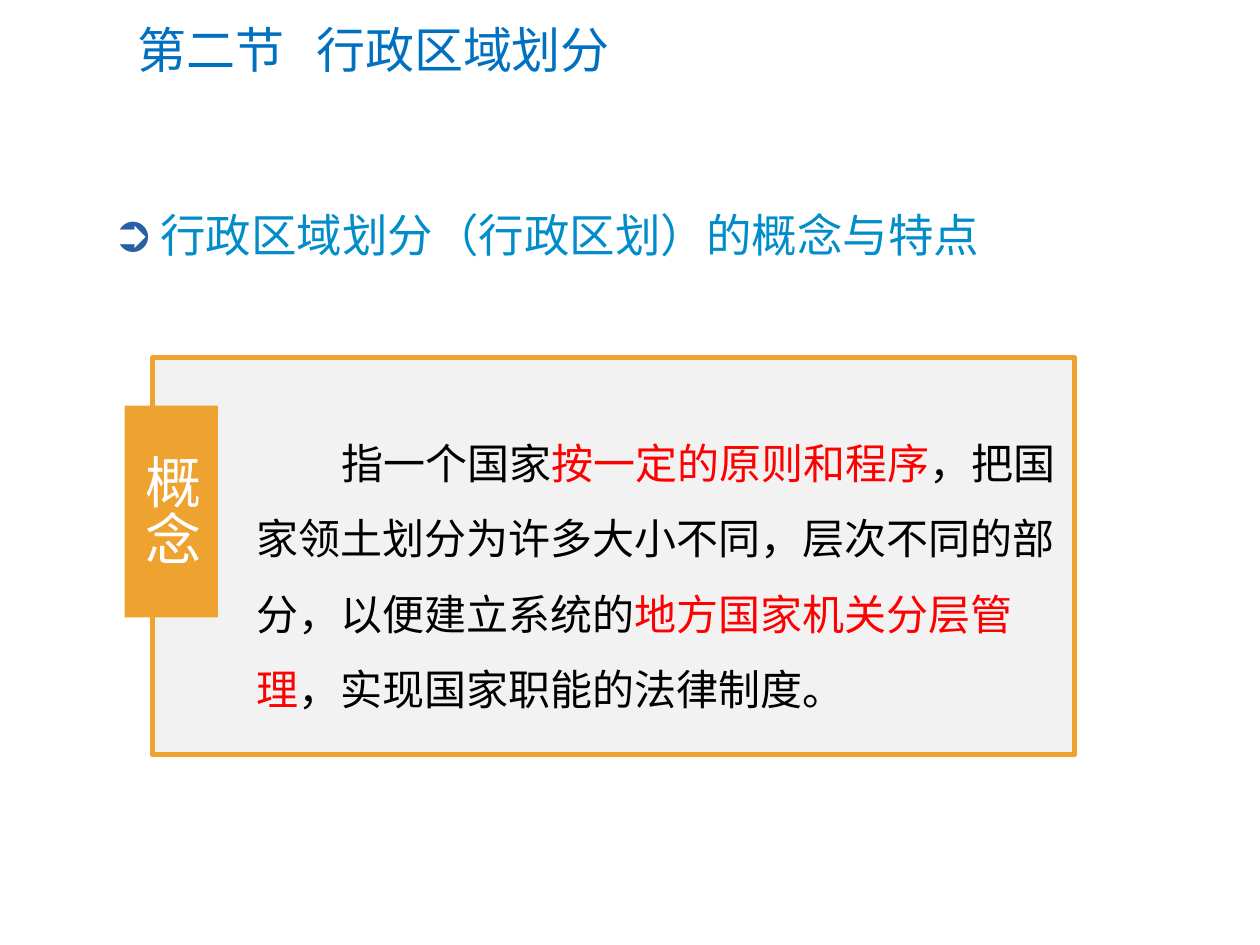
from lxml import etree
from pptx import Presentation
from pptx.dml.color import RGBColor
from pptx.enum.shapes import MSO_SHAPE
from pptx.enum.text import MSO_ANCHOR, MSO_AUTO_SIZE, PP_ALIGN
from pptx.oxml.ns import qn
from pptx.util import Inches, Pt

RECT = MSO_SHAPE.RECTANGLE
TOP, MIDDLE = MSO_ANCHOR.TOP, MSO_ANCHOR.MIDDLE
LEFT = PP_ALIGN.LEFT
FIXED = MSO_AUTO_SIZE.NONE

LATIN, HAN = "Calibri", "Noto Sans CJK SC"
BLACK, RED, WHITE = "000000", "FF0000", "FFFFFF"
AMBER, PALE = "EEA230", "F2F2F2"

TITLE = [("第二节\t行政区域划分", "0070C0")]
TOPIC = [("行政区域划分（行政区划）的概念与特点", "008DCA")]
LABEL = [("概念", WHITE)]
CONCEPT = [
    ("指一个国家", BLACK),
    ("按一定的原则和程序", RED),
    ("，把国家领土划分为许多大小不同，层次不同的部分，以便建立系统的", BLACK),
    ("地方国家机关分层管理", RED),
    ("，实现国家职能的法律制度。", BLACK),
]


def rgb(code):
    return RGBColor.from_string(code)


def place(shape, *box):
    shape.left, shape.top, shape.width, shape.height = map(Inches, box)


def add_xml(parent, tag, **attrs):
    return etree.SubElement(parent, qn(tag), attrs)


def write(shape, runs, size, anchor=TOP, latin=LATIN):
    """Fill the shape's only paragraph and return it."""
    frame = shape.text_frame
    frame.word_wrap = True
    frame.auto_size = FIXED
    frame.vertical_anchor = anchor
    para = frame.paragraphs[0]
    para.alignment = LEFT
    para.space_before = Pt(0)
    for text, color in runs:
        run = para.add_run()
        run.text = text
        font = run.font
        font.size, font.name = Pt(size), latin
        font.color.rgb = rgb(color)
        add_xml(run._r.get_or_add_rPr(), "a:ea", typeface=HAN)
    return para


def add_block(slide, box, fill, line=None):
    shape = slide.shapes.add_shape(RECT, *map(Inches, box))
    shape.shadow.inherit = False
    shape.fill.solid()
    shape.fill.fore_color.rgb = rgb(fill)
    if line:
        shape.line.color.rgb = rgb(line)
        shape.line.width = Pt(3)
    else:
        shape.line.fill.background()
    return shape


def indent(para, left, first):
    props = para._p.get_or_add_pPr()
    props.set("marL", str(Inches(left)))
    props.set("indent", str(Inches(first)))
    return props


def main():
    deck = Presentation()
    deck.slide_width, deck.slide_height = Inches(10), Inches(7.5)
    slide = deck.slides.add_slide(deck.slide_layouts[1])
    title, topic = slide.placeholders

    place(title, 0.99, 0.1, 8.72, 0.58)
    para = write(title, TITLE, 28, MIDDLE)
    tabs = add_xml(para._p.get_or_add_pPr(), "a:tabLst")
    add_xml(tabs, "a:tab", pos=str(Inches(1.42)), algn="l")

    place(topic, 0.79, 1.59, 8.34, 0.54)
    props = indent(write(topic, TOPIC, 26), 0.38, -0.38)
    add_xml(add_xml(props, "a:buClr"), "a:srgbClr", val="2860A4")
    add_xml(props, "a:buSzPct", val="110000")
    add_xml(props, "a:buFont", typeface=LATIN)
    add_xml(props, "a:buChar", char="➲")

    add_block(slide, (1.21, 2.84, 7.32, 3.15), PALE, AMBER)
    label = add_block(slide, (0.99, 3.22, 0.74, 1.68), AMBER)
    # In vertical text the left indent moves the words down.
    indent(write(label, LABEL, 32, MIDDLE, HAN), 0.29, 0)
    label.text_frame._txBody.bodyPr.set("vert", "eaVert")

    concept = slide.shapes.add_textbox(*map(Inches, (1.94, 3.22, 6.63, 2.52)))
    para = write(concept, CONCEPT, 24)
    para.line_spacing = 1.5
    # Keep punctuation inside the frame at line ends.
    indent(para, 0, 0.67).set("hangingPunct", "0")

    deck.save("out.pptx")


if __name__ == "__main__":
    main()
